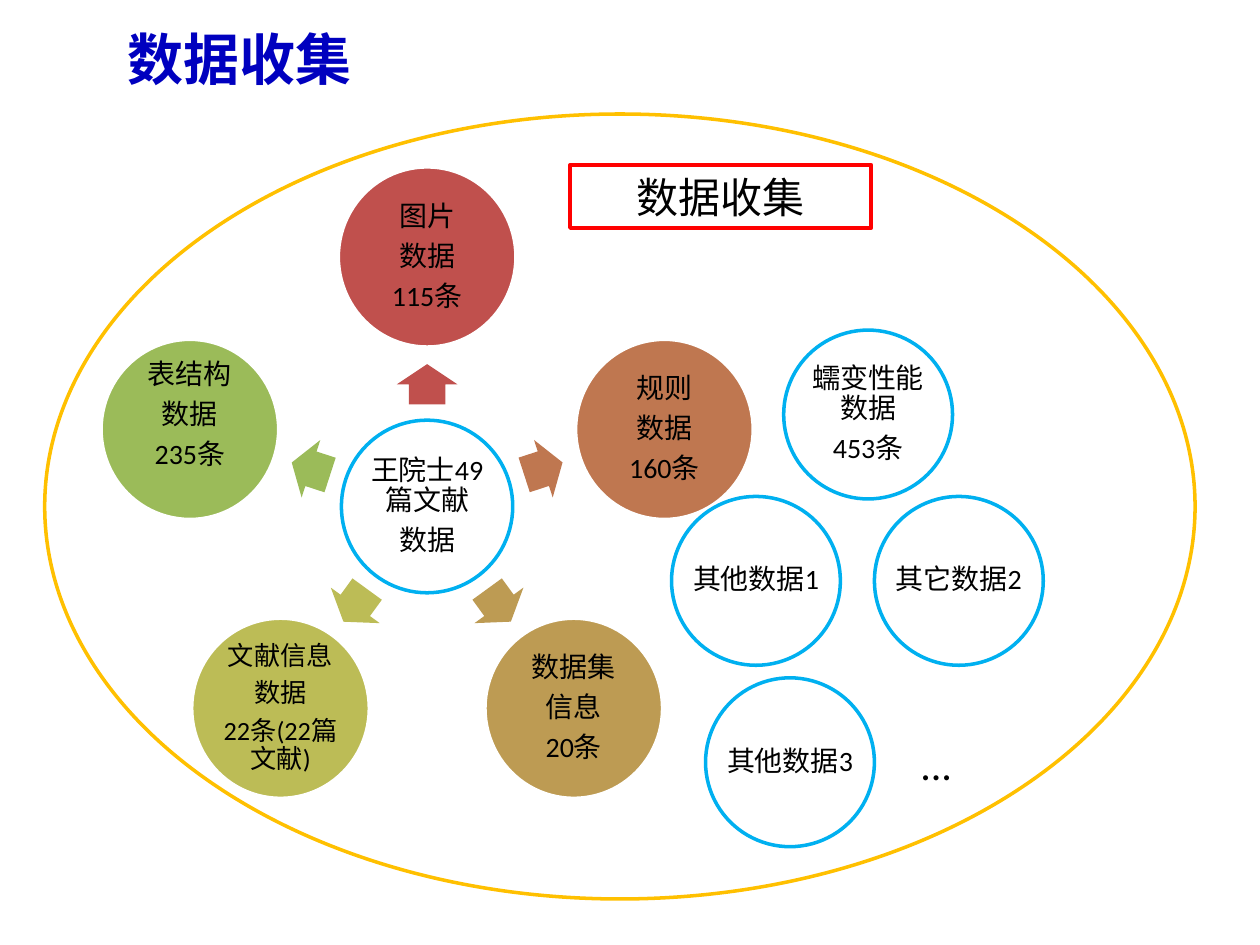
from math import cos, radians, sin

from lxml import etree
from pptx import Presentation
from pptx.dml.color import RGBColor
from pptx.enum.shapes import MSO_SHAPE
from pptx.enum.text import MSO_ANCHOR, PP_ALIGN
from pptx.oxml.ns import qn
from pptx.util import Inches, Pt

THEME = dict(
    title="0000BF", text="000000", ring="FFC000", cycle="00B0F0", frame="FF0000", white="FFFFFF",
    font="Calibri", title_font="Noto Sans CJK SC",
    title_size=32, head_size=24, body_size=16, small_size=15,
)

# Content
TITLE = "数据收集"
HUB = ["王院士49篇文献", "数据"]
# lines, fill, text size, upward shift of the label
NODES = [
    (["图片", "数据", "115条"], "C0504D", THEME["body_size"], 0),
    (["规则", "数据", "160条"], "BF7750", THEME["body_size"], 0),
    (["数据集", "信息", "20条"], "BD9B53", THEME["body_size"], 0),
    (["文献信息", "数据", "22条(22篇文献)"], "BCBC56", THEME["small_size"], 0),
    (["表结构", "数据", "235条"], "9BBB59", THEME["body_size"], 0.11),
]
# lines, centre x, centre y, label width
OTHERS = [
    (["其它数据2"], 7.61, 4.61, 1.14),
    (["其他数据1"], 6.0, 4.61, 1.14),
    (["蠕变性能数据", "453条"], 6.89, 3.29, 0.95),
    (["其他数据3"], 6.27, 6.05, 1.14),
]

# Geometry
CENTER = (3.39, 4.02)
NODE_RADIUS, ARROW_RADIUS = 1.98, 0.97
HUB_SIZE, NODE_SIZE, OTHER_SIZE = (1.36, 1.37), (1.41, 1.43), (1.34, 1.34)
ARROW_SIZE = (0.32, 0.48)
INSCRIBED = 0.71  # side of the text area relative to its circle


def write(tf, lines, size=THEME["body_size"], color=THEME["text"], font=THEME["font"],
          bold=False, align=PP_ALIGN.CENTER, anchor=MSO_ANCHOR.MIDDLE, margin=None, tight=False):
    tf.word_wrap = True
    tf.vertical_anchor = anchor
    if margin is not None:
        tf.margin_left = tf.margin_right = tf.margin_top = tf.margin_bottom = Inches(margin)
    for i, line in enumerate(lines):
        p = tf.add_paragraph() if i else tf.paragraphs[0]
        p.alignment = align
        if tight:
            p.line_spacing = 0.9
            p.space_after = Pt(0.35 * size)
        r = p.add_run()
        r.text = line
        r.font.size, r.font.bold, r.font.name = Pt(size), bold, font
        r.font.color.rgb = RGBColor.from_string(color)
        etree.SubElement(r.font._element, qn("a:ea")).set("typeface", font)


def add_shape(s, kind, cx, cy, size, fill=None, line=None, width=2):
    w, h = size
    sp = s.shapes.add_shape(kind, Inches(cx - w / 2), Inches(cy - h / 2), Inches(w), Inches(h))
    sp.shadow.inherit = False
    if fill:
        sp.fill.solid()
        sp.fill.fore_color.rgb = RGBColor.from_string(fill)
    else:
        sp.fill.background()
    if line:
        sp.line.color.rgb = RGBColor.from_string(line)
        sp.line.width = Pt(width)
    else:
        sp.line.fill.background()
    return sp


def add_label(s, lines, cx, cy, w, h, **fmt):
    box = s.shapes.add_textbox(Inches(cx - w / 2), Inches(cy - h / 2), Inches(w), Inches(h))
    write(box.text_frame, lines, **fmt)


def add_circle(s, lines, cx, cy, size, label_width=None, shift=0, fill=None,
               line=THEME["cycle"], text_size=THEME["body_size"]):
    add_shape(s, MSO_SHAPE.OVAL, cx, cy, size, fill, line)
    w, h = (side * INSCRIBED for side in size)
    add_label(s, lines, cx, cy - shift, label_width or w, h,
              size=text_size, margin=0.02, tight=True)


def on_ring(radius, angle):
    a = radians(angle)
    return CENTER[0] + radius * cos(a), CENTER[1] + radius * sin(a)


def main():
    prs = Presentation()
    prs.slide_width, prs.slide_height = Inches(10), Inches(7.5)
    s = prs.slides.add_slide(prs.slide_layouts[5])

    # Title
    title = s.shapes.title
    title.left, title.top, title.width, title.height = map(Inches, (0.91, 0.03, 9, 0.87))
    write(title.text_frame, [TITLE], size=THEME["title_size"], color=THEME["title"],
          font=THEME["title_font"], bold=True, align=PP_ALIGN.LEFT)

    # Radial cycle: hub, then an arrow and a circle for each node, clockwise from the top
    add_circle(s, HUB, *CENTER, HUB_SIZE)
    for i, (lines, color, size, shift) in enumerate(NODES):
        angle = -90 + i * 360 / len(NODES)
        arrow = add_shape(s, MSO_SHAPE.RIGHT_ARROW, *on_ring(ARROW_RADIUS, angle),
                          ARROW_SIZE, fill=color)
        arrow.adjustments[0], arrow.adjustments[1] = 0.6, 0.5
        arrow.rotation = angle % 360
        add_circle(s, lines, *on_ring(NODE_RADIUS, angle), NODE_SIZE, shift=shift,
                   fill=color, line=THEME["white"], text_size=size)

    # Enclosing ellipse
    add_shape(s, MSO_SHAPE.OVAL, 4.92, 4.02, (9.13, 6.23), line=THEME["ring"])

    # Further data sets
    for lines, cx, cy, width in OTHERS:
        add_circle(s, lines, cx, cy, OTHER_SIZE, label_width=width)
    add_label(s, ["..."], 7.43, 6.06, 1.02, 0.5, size=THEME["head_size"], anchor=MSO_ANCHOR.TOP)

    # Framed heading
    frame = add_shape(s, MSO_SHAPE.RECTANGLE, 5.72, 1.56, (2.39, 0.5),
                      line=THEME["frame"], width=2.25)
    write(frame.text_frame, [TITLE], size=THEME["head_size"], anchor=MSO_ANCHOR.TOP)

    prs.save("out.pptx")


if __name__ == "__main__":
    main()
